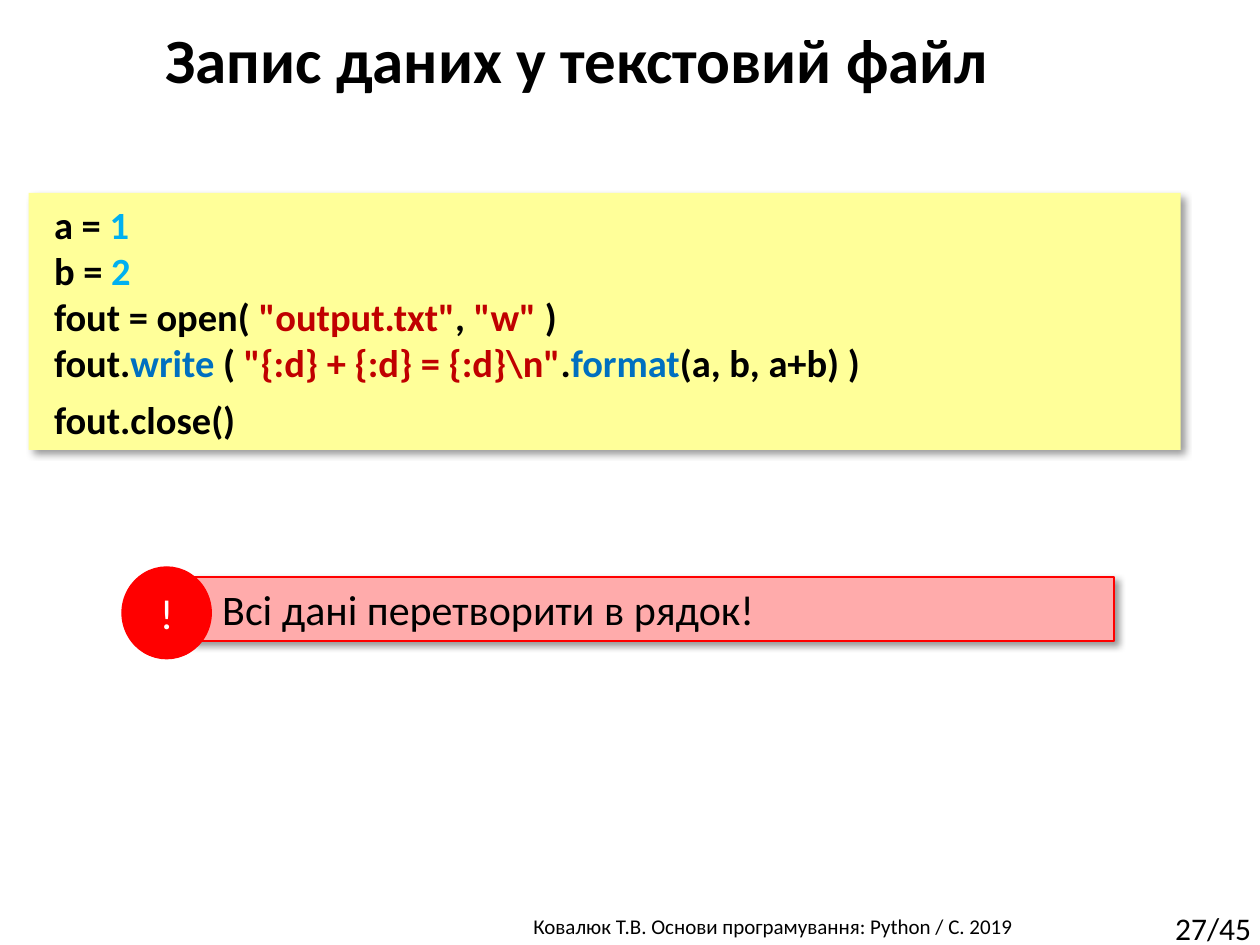
from lxml import etree
from pptx import Presentation
from pptx.dml.color import RGBColor
from pptx.enum.shapes import MSO_SHAPE
from pptx.enum.text import MSO_ANCHOR, PP_ALIGN
from pptx.oxml.ns import qn
from pptx.util import Cm, Pt

RECT, OVAL = MSO_SHAPE.RECTANGLE, MSO_SHAPE.OVAL
LEFT, CENTER = PP_ALIGN.LEFT, PP_ALIGN.CENTER
MIDDLE, TOP = MSO_ANCHOR.MIDDLE, MSO_ANCHOR.TOP
FONT = "Calibri"
BLACK, WHITE, RED = "000000", "FFFFFF", "FF0000"
YELLOW, PINK = "FFFF99", "FFABAB"
NUMBER, STRING, METHOD = "00B0F0", "C00000", "0070C0"

CODE = [
    [("a = ", BLACK), ("1", NUMBER)],
    [("b = ", BLACK), ("2", NUMBER)],
    [("fout = open( ", BLACK), ('"output.txt"', STRING), (", ", BLACK),
     ('"w" ', STRING), (")", BLACK)],
    [("fout.", BLACK), ("write ", METHOD), ("( ", BLACK),
     ('"{:d} + {:d} = {:d}\\n"', STRING), (".", BLACK),
     ("format", METHOD), ("(a, b, a+b) )", BLACK)],
    [("fout.close()", BLACK)],
]


def rgb(value):
    return RGBColor.from_string(value)


def set_font(p, size, color=BLACK, bold=False, align=LEFT):
    p.alignment = align
    p.font.name = FONT
    p.font.size = Pt(size)
    p.font.bold = bold
    p.font.color.rgb = rgb(color)


def set_text(sp, text, size, **style):
    p = sp.text_frame.paragraphs[0]
    p.text = text
    set_font(p, size, **style)


def add_shadow(sp):
    effects = sp._element.spPr.find(qn("a:effectLst"))
    shadow = etree.SubElement(
        effects, qn("a:outerShdw"), blurRad=str(Pt(4)), dist=str(Pt(3)),
        dir=str(45 * 60000), algn="tl", rotWithShape="0")
    color = etree.SubElement(shadow, qn("a:srgbClr"), val=BLACK)
    etree.SubElement(color, qn("a:alpha"), val="40000")


def add_box(shapes, kind, box, fill, line=None, width=1, anchor=MIDDLE):
    sp = shapes.add_shape(kind, *map(Cm, box))
    sp.shadow.inherit = False
    sp.fill.solid()
    sp.fill.fore_color.rgb = rgb(fill)
    if line:
        sp.line.color.rgb = rgb(line)
        sp.line.width = Pt(width)
    else:
        sp.line.fill.background()
    sp.text_frame.vertical_anchor = anchor
    return sp


def add_label(s, box, text, size, align=LEFT, wrap=True):
    sp = s.shapes.add_textbox(*map(Cm, box))
    sp.text_frame.word_wrap = wrap
    set_text(sp, text, size, align=align)


def add_title(s, text):
    sp = s.shapes.title
    sp.left, sp.top, sp.width, sp.height = map(Cm, (0, 0.61, 23.27, 1.32))
    sp.text_frame.vertical_anchor = MIDDLE
    set_text(sp, text, 36, bold=True, align=CENTER)
    sp.text_frame.paragraphs[0].line_spacing = 0.9


def add_code(s, lines):
    sp = add_box(s.shapes, RECT, (0.58, 3.89, 23.22, 5.18), YELLOW)
    add_shadow(sp)
    tf = sp.text_frame
    tf.margin_left = Cm(0.51)
    for i, line in enumerate(lines):
        p = tf.add_paragraph() if i else tf.paragraphs[0]
        set_font(p, 22, bold=True)
        for text, color in line:
            r = p.add_run()
            r.text = text
            r.font.color.rgb = rgb(color)
    p.space_before = Pt(6)


def add_warning(s, text):
    group = s.shapes.add_group_shape()
    bar = add_box(group.shapes, RECT, (3.84, 11.63, 18.62, 1.3),
                  PINK, RED, anchor=TOP)
    add_shadow(bar)
    bar.text_frame.margin_left = Cm(0.64)
    set_text(bar, text, 24)
    badge = add_box(group.shapes, OVAL, (2.46, 11.43, 1.8, 1.85),
                    RED, RED, 0.75)
    badge.text_frame.word_wrap = False
    set_text(badge, "!", 24, color=WHITE, align=CENTER)


def main():
    prs = Presentation()
    prs.slide_width, prs.slide_height = Cm(25.4), Cm(19.05)
    s = prs.slides.add_slide(prs.slide_layouts[5])
    add_label(s, (8.36, 18.29, 14.45, 0.76),
              "Ковалюк Т.В. Основи програмування: Python / C. 2019",
              12, align=CENTER)
    add_label(s, (23.44, 18.21, 2.16, 1.02), "27/45", 18, wrap=False)
    add_title(s, "Запис даних у текстовий файл")
    add_code(s, CODE)
    add_warning(s, "Всі дані перетворити в рядок!")
    prs.save("out.pptx")


if __name__ == "__main__":
    main()
